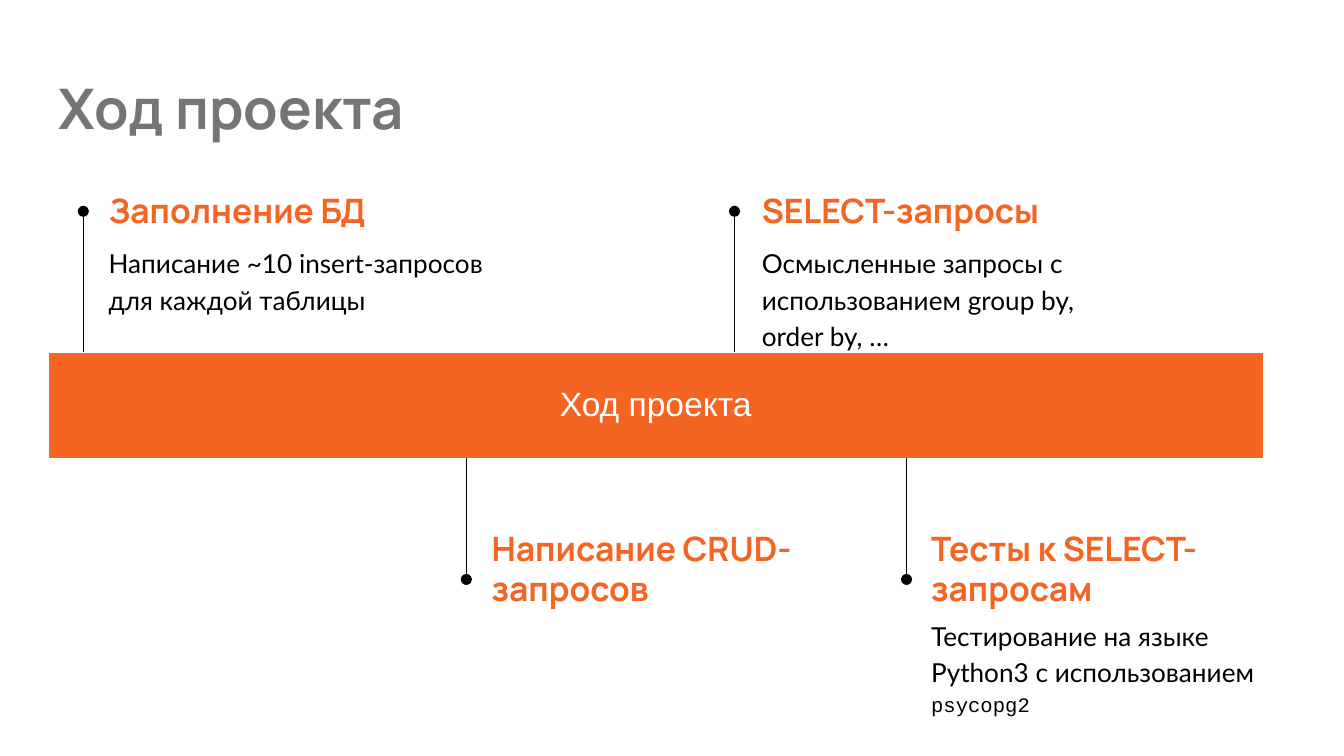
"""Build the project timeline slide."""
import dataclasses

import pptx
import pptx.dml.color
import pptx.enum.shapes
import pptx.enum.text
import pptx.oxml
import pptx.oxml.ns
import pptx.util

ALIGN = pptx.enum.text.PP_ALIGN
ANCHOR = pptx.enum.text.MSO_ANCHOR
WIDE = 10
HIGH = WIDE * 9 / 16
BAND = (3.55, 46.55, 90.5, 14.1)
STEPS = [
    (6.2, 7.1, 25.3, 33.6, True, "Заполнение БД",
     ["Написание ~10 insert-запросов для каждой таблицы"]),
    (34.7, 35.6, 25.3, 25.3, False, "Написание CRUD-запросов", []),
    (54.65, 55.7, 25.7, 25.7, True, "SELECT-запросы",
     ["Осмысленные запросы с использованием group by, order by, …"]),
    (67.45, 68.3, 25.7, 30, False, "Тесты к SELECT-запросам",
     ["Тестирование на языке Python3 с использованием ", "psycopg2"]),
]


@dataclasses.dataclass(frozen=True)
class Theme:
    """Hold the fonts, type sizes and colours."""
    head: str = "Manrope"
    body: str = "Lato"
    code: str = "Courier New"
    label: str = "Arial"
    title_size: int = 30
    head_size: int = 18
    body_size: int = 14
    code_size: int = 11
    grey: str = "757575"
    accent: str = "F46524"
    ink: str = "000000"
    white: str = "FFFFFF"


THEME = Theme()


def rgb(code):
    """Turn a hex code into a colour."""
    return pptx.dml.color.RGBColor.from_string(code)


def place(left, top, width, height):
    """Turn percent shares of the slide into lengths."""
    sides = (left * WIDE, top * HIGH, width * WIDE, height * HIGH)
    return [pptx.util.Inches(side / 100) for side in sides]


def style(font, name, size, color, bold=False):
    """Format a font."""
    font.name, font.size, font.bold = name, pptx.util.Pt(size), bold
    font.color.rgb = rgb(color)


def frame(shape, anchor):
    """Prepare a text frame and return its first paragraph."""
    text = shape.text_frame
    text.word_wrap = True
    text.auto_size = pptx.enum.text.MSO_AUTO_SIZE.NONE
    text.vertical_anchor = anchor
    inset = pptx.util.Inches(0.1)
    text.margin_left = text.margin_right = inset
    text.margin_top = text.margin_bottom = inset
    para = text.paragraphs[0]
    para.alignment = ALIGN.LEFT
    return para


def add_title(slide, text):
    """Fill and move the title placeholder."""
    shape = slide.shapes.title
    shape.left, shape.top, shape.width, shape.height = place(3.35, 8, 93.2, 12.5)
    para = frame(shape, ANCHOR.TOP)
    para.text = text
    style(para.font, THEME.head, THEME.title_size, THEME.grey, True)


def add_band(slide, text):
    """Add the one-row table that spans the timeline."""
    table = slide.shapes.add_table(1, 8, *place(*BAND)).table
    first, *rest = table.columns
    first.width = pptx.util.Inches(1.56)
    for col in rest:
        col.width = pptx.util.Inches(1.07)
    cell = table.cell(0, 0)
    cell.merge(table.cell(0, 7))
    for part in table.iter_cells():
        part.fill.solid()
        part.fill.fore_color.rgb = rgb(THEME.accent)
    cell.vertical_anchor = ANCHOR.MIDDLE
    inset = pptx.util.Inches(0.1)
    cell.margin_left = cell.margin_right = inset
    cell.margin_top = cell.margin_bottom = inset
    para = cell.text_frame.paragraphs[0]
    para.text, para.alignment = text, ALIGN.CENTER
    style(para.font, THEME.label, THEME.head_size, THEME.white)


def add_stem(slide, col, start, end):
    """Add an upright line with a dot at its end."""
    left, top, _, drop = place(col, start, 0, end - start)
    kind = pptx.enum.shapes.MSO_CONNECTOR.STRAIGHT
    line = slide.shapes.add_connector(kind, left, top, left, top + drop)
    line.line.color.rgb = rgb(THEME.ink)
    line.line.width = pptx.util.Pt(0.75)
    tail = pptx.oxml.parse_xml(
        f'<a:tailEnd {pptx.oxml.ns.nsdecls("a")} type="oval"/>')
    line.line._get_or_add_ln().append(tail)
    flat = pptx.oxml.parse_xml(f'<a:effectLst {pptx.oxml.ns.nsdecls("a")}/>')
    line._element.spPr.append(flat)


def add_head(slide, box, text):
    """Add a step heading."""
    para = frame(slide.shapes.add_textbox(*place(*box)), ANCHOR.MIDDLE)
    para.text = text
    style(para.font, THEME.head, THEME.head_size, THEME.accent, True)


def add_body(slide, box, parts):
    """Add a step text, with an optional code word after it."""
    para = frame(slide.shapes.add_textbox(*place(*box)), ANCHOR.TOP)
    para.line_spacing, para.space_after = 1.15, pptx.util.Pt(16)
    fonts = [(THEME.body, THEME.body_size), (THEME.code, THEME.code_size)]
    for text, (name, size) in zip(parts, fonts):
        run = para.add_run()
        run.text = text
        style(run.font, name, size, THEME.ink)


def add_step(slide, stem, left, width, wide, above, head, parts):
    """Add one step above or below the band."""
    _, top, _, tall = BAND
    start, end, row, low = ((top, 27.95, 24, 30.4) if above
                            else (top + tall, 76.65, 71.3, 79.7))
    add_stem(slide, stem, start, end)
    add_head(slide, (left, row, width, 7.7), head)
    if parts:
        add_body(slide, (left, low, wide, 11.2), parts)


def main():
    """Build and save the slide."""
    deck = pptx.Presentation()
    deck.slide_width = pptx.util.Inches(WIDE)
    deck.slide_height = pptx.util.Inches(HIGH)
    slide = deck.slides.add_slide(deck.slide_layouts[5])
    add_title(slide, "Ход проекта")
    add_band(slide, "Ход проекта")
    for step in STEPS:
        add_step(slide, *step)
    deck.save("out.pptx")


if __name__ == "__main__":
    main()
